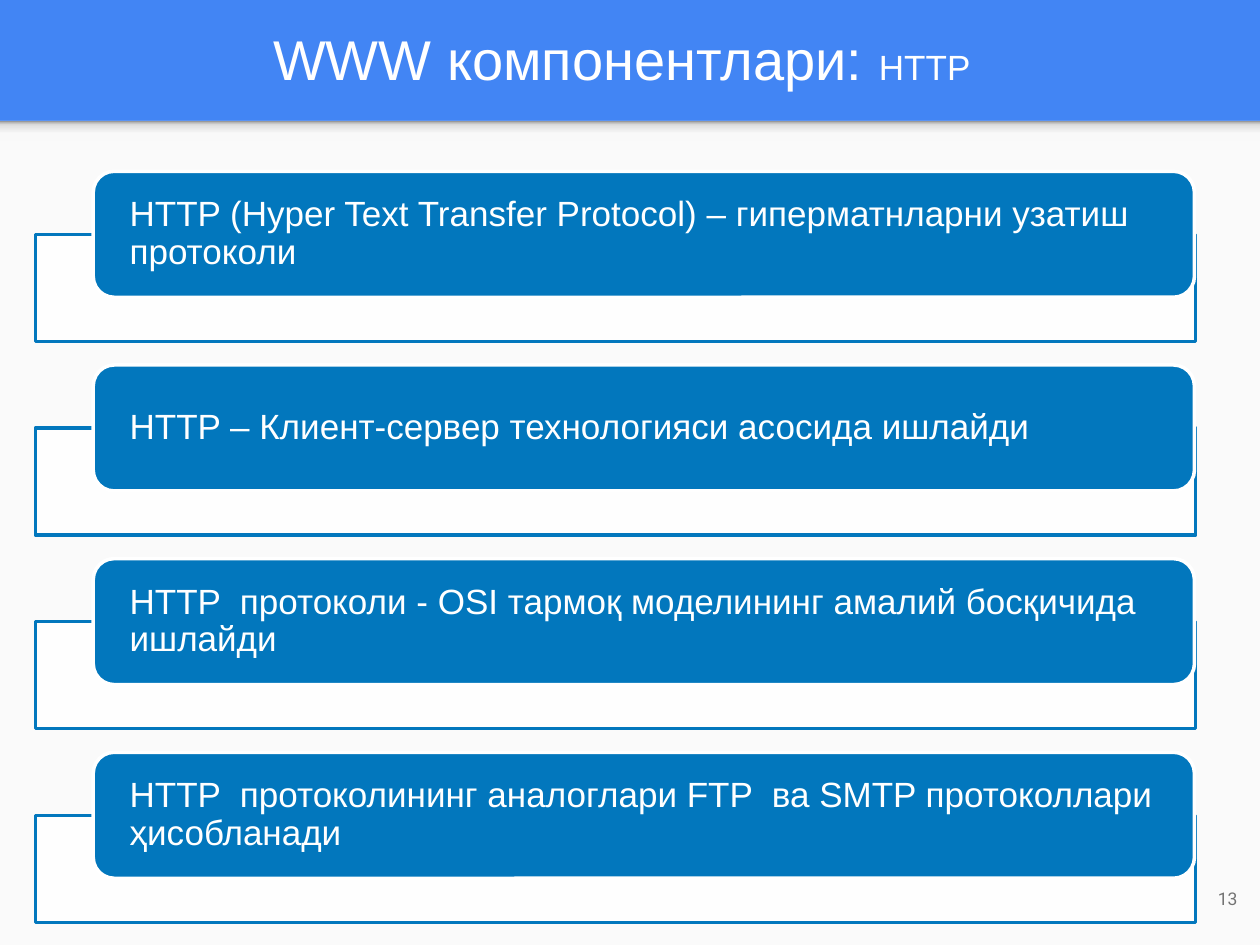
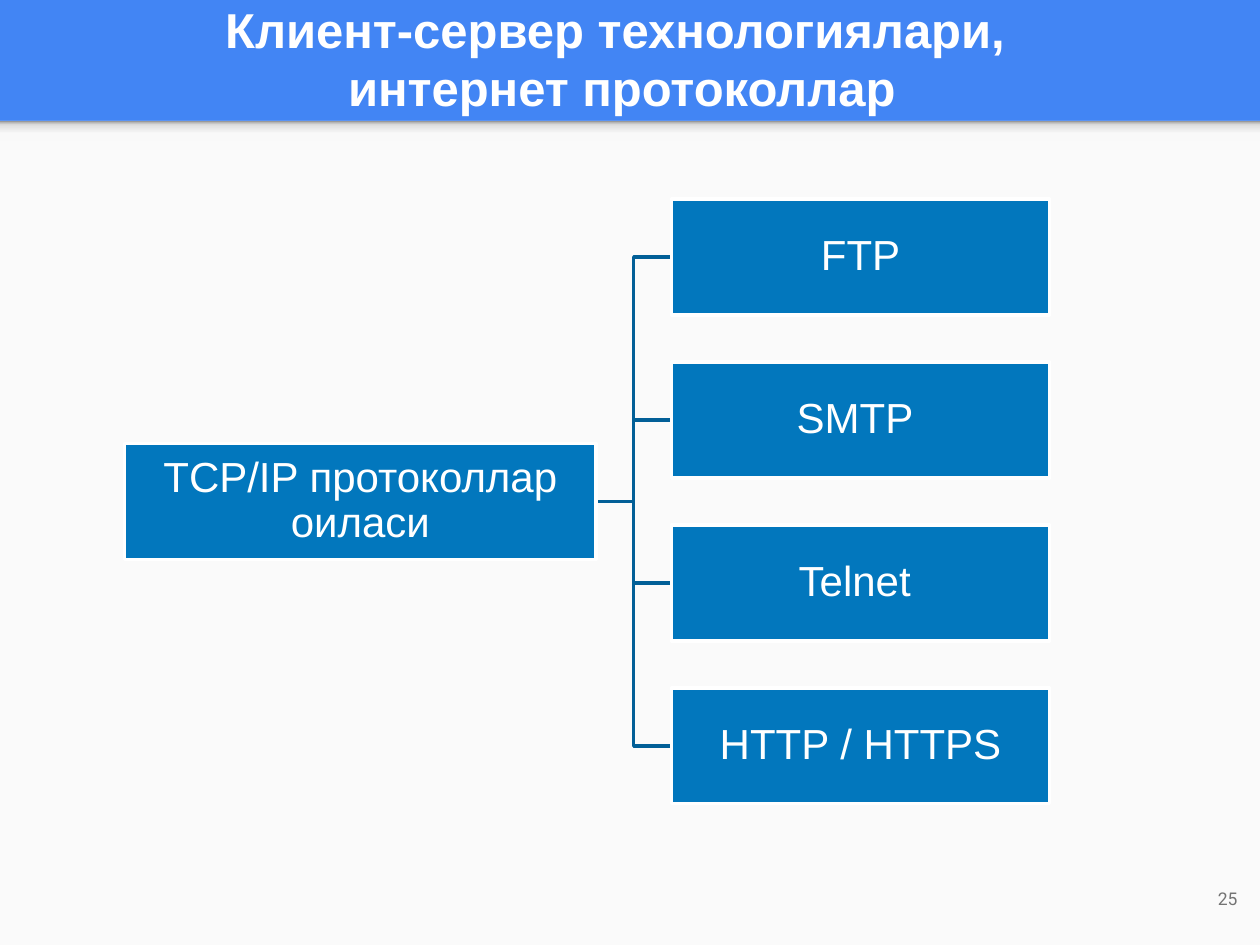
from dataclasses import dataclass

import pptx
import pptx.dml.color
import pptx.enum.shapes
import pptx.enum.text
import pptx.oxml
import pptx.oxml.ns
import pptx.presentation
import pptx.shapes.autoshape
import pptx.shapes.connector
import pptx.slide
import pptx.text.text
import pptx.util
from pptx.dml.color import RGBColor
from pptx.enum.shapes import MSO_SHAPE
from pptx.enum.text import MSO_ANCHOR, PP_ALIGN
from pptx.util import Inches

HEADER_BLUE = RGBColor(0x42, 0x85, 0xF4)
PAGE = RGBColor(0xFA, 0xFA, 0xFA)
WHITE = RGBColor(0xFF, 0xFF, 0xFF)
BOX_BLUE = RGBColor(0x02, 0x77, 0xBD)
BRANCH_BLUE = RGBColor(0x02, 0x5F, 0x97)
NUMBER_GREY = RGBColor(0x73, 0x73, 0x73)
SHADOW_STOPS = ((0, "F9F9F9"), (36, "F9F9F9"), (80, "DEDEDE"), (100, "999999"))

TEXT_FONT = "Arial"
NUMBER_FONT = "Roboto"
HEADER_HEIGHT = 0.96
LINE_WIDTH = 2


@dataclass(frozen=True)
class Box:
    """A rectangle on the slide, in inches."""
    left: float
    top: float
    width: float
    height: float

    @property
    def middle(self) -> float:
        return self.top + self.height / 2

    def lengths(self) -> tuple[pptx.util.Length, ...]:
        return tuple(Inches(v) for v in (self.left, self.top, self.width, self.height))


@dataclass(frozen=True)
class Heading:
    lines: tuple[str, ...]
    size: int
    bold: bool = False
    suffix: str = ""
    suffix_size: int = 20


HTTP_FACTS = (
    "HTTP (Hyper Text Transfer Protocol) – гиперматнларни узатиш протоколи",
    "HTTP – Клиент-сервер технологияси асосида ишлайди",
    "HTTP  протоколи - OSI тармоқ моделининг амалий босқичида ишлайди",
    "HTTP  протоколининг аналоглари FTP  ва SMTP протоколлари ҳисобланади",
)
FACT_TOP, FACT_STEP = 1.36, 1.537
FACT_FRAME_DROP = 0.5

PROTOCOLS = ("FTP", "SMTP ", "Telnet ", "HTTP / HTTPS")
PROTOCOL_TOP, PROTOCOL_STEP = 1.58, 1.293
FAMILY_BOX = Box(0.99, 3.52, 3.74, 0.92)


def set_font(paragraph: pptx.text.text._Paragraph, size: float, color: RGBColor,
             name: str = TEXT_FONT, bold: bool = False) -> None:
    font = paragraph.font
    font.name, font.size, font.bold = name, pptx.util.Pt(size), bold
    font.color.rgb = color


def set_margins(frame: pptx.text.text.TextFrame, across: float, down: float) -> None:
    frame.margin_left = frame.margin_right = Inches(across)
    frame.margin_top = frame.margin_bottom = Inches(down)
    frame.vertical_anchor = MSO_ANCHOR.MIDDLE
    frame.word_wrap = True


def add_box(slide: pptx.slide.Slide, box: Box, fill: RGBColor,
            outline: RGBColor | None = None,
            preset: MSO_SHAPE = MSO_SHAPE.RECTANGLE) -> pptx.shapes.autoshape.Shape:
    shape = slide.shapes.add_shape(preset, *box.lengths())
    shape.shadow.inherit = False
    shape.fill.solid()
    shape.fill.fore_color.rgb = fill
    if outline is None:
        shape.line.fill.background()
    else:
        shape.line.color.rgb = outline
        shape.line.width = pptx.util.Pt(LINE_WIDTH)
    return shape


def add_label(shape: pptx.shapes.autoshape.Shape, text: str, size: float,
              align: PP_ALIGN, across: float, down: float) -> None:
    set_margins(shape.text_frame, across, down)
    paragraph = shape.text_frame.paragraphs[0]
    paragraph.text = text
    paragraph.alignment = align
    paragraph.line_spacing = 0.9
    set_font(paragraph, size, WHITE)


def add_header_shadow(slide: pptx.slide.Slide) -> None:
    shadow = add_box(slide, Box(0, HEADER_HEIGHT, 10, 0.16), PAGE)
    shadow.fill.gradient()
    shadow.fill.gradient_angle = 90
    stops = shadow._element.spPr.find(".//" + pptx.oxml.ns.qn("a:gsLst"))
    for stop in list(stops):
        stops.remove(stop)
    for percent, color in SHADOW_STOPS:
        stops.append(pptx.oxml.parse_xml(
            f'<a:gs {pptx.oxml.ns.nsdecls("a")} pos="{percent * 1000}">'
            f'<a:srgbClr val="{color}"/></a:gs>'))


def set_heading(slide: pptx.slide.Slide, heading: Heading) -> None:
    title = slide.shapes.title
    title.left, title.top, title.width, title.height = Box(0.11, 0.02, 9.65, 0.88).lengths()
    frame = title.text_frame
    frame.auto_size = pptx.enum.text.MSO_AUTO_SIZE.NONE
    set_margins(frame, 0.1, 0.1)
    paragraph = frame.paragraphs[0]
    paragraph.alignment = PP_ALIGN.CENTER
    set_font(paragraph, heading.size, WHITE, bold=heading.bold)
    for index, line in enumerate(heading.lines):
        if index:
            paragraph.add_line_break()
        paragraph.add_run().text = line
    if heading.suffix:
        suffix = paragraph.add_run()
        suffix.text = heading.suffix
        suffix.font.size = pptx.util.Pt(heading.suffix_size)


def add_page_number(slide: pptx.slide.Slide, number: int) -> None:
    frame = slide.shapes.add_textbox(*Box(9.32, 6.85, 0.6, 0.57).lengths()).text_frame
    set_margins(frame, 0.1, 0.1)
    paragraph = frame.paragraphs[0]
    paragraph.text = str(number)
    paragraph.alignment = PP_ALIGN.RIGHT
    set_font(paragraph, 10, NUMBER_GREY, NUMBER_FONT)


def add_page(deck: pptx.presentation.Presentation, heading: Heading) -> pptx.slide.Slide:
    slide = deck.slides.add_slide(deck.slide_layouts.get_by_name("Title Only"))
    add_box(slide, Box(0, HEADER_HEIGHT, 10, 7.5 - HEADER_HEIGHT), PAGE)
    add_header_shadow(slide)
    set_heading(slide, heading)
    return slide


def add_fact(slide: pptx.slide.Slide, text: str, top: float) -> None:
    """Add a rounded statement over its outlined frame."""
    frame = add_box(slide, Box(0.28, top + FACT_FRAME_DROP, 9.21, 0.85), WHITE, BOX_BLUE)
    color = frame._element.spPr.find(
        pptx.oxml.ns.qn("a:solidFill") + "/" + pptx.oxml.ns.qn("a:srgbClr"))
    color.append(pptx.oxml.parse_xml(
        f'<a:alpha {pptx.oxml.ns.nsdecls("a")} val="90000"/>'))
    statement = add_box(slide, Box(0.74, top, 8.74, 1), BOX_BLUE, WHITE,
                        MSO_SHAPE.ROUNDED_RECTANGLE)
    add_label(statement, text, 20, PP_ALIGN.LEFT, 0.24, 0)


def add_branch(slide: pptx.slide.Slide, start: Box,
               end: Box) -> pptx.shapes.connector.Connector:
    branch = slide.shapes.add_connector(
        pptx.enum.shapes.MSO_CONNECTOR.ELBOW,
        Inches(start.left + start.width), Inches(start.middle),
        Inches(end.left), Inches(end.middle))
    branch.line.color.rgb = BRANCH_BLUE
    branch.line.width = pptx.util.Pt(LINE_WIDTH)
    branch._element.spPr.append(pptx.oxml.parse_xml(
        f'<a:effectLst {pptx.oxml.ns.nsdecls("a")}/>'))
    return branch


def add_node(slide: pptx.slide.Slide, box: Box, text: str) -> pptx.shapes.autoshape.Shape:
    node = add_box(slide, box, BOX_BLUE, WHITE)
    add_label(node, text, 24, PP_ALIGN.CENTER, 0.02, 0.02)
    return node


def build_http_slide(deck: pptx.presentation.Presentation) -> None:
    slide = add_page(deck, Heading(("WWW компонентлари: ",), 32, suffix="HTTP"))
    for index, fact in enumerate(HTTP_FACTS):
        add_fact(slide, fact, FACT_TOP + index * FACT_STEP)
    add_page_number(slide, 13)


def build_protocols_slide(deck: pptx.presentation.Presentation) -> None:
    slide = add_page(deck, Heading(
        ("Клиент-сервер технологиялари, ", "интернет протоколлар"), 28, bold=True))
    protocol_boxes = [Box(5.33, PROTOCOL_TOP + index * PROTOCOL_STEP, 3, 0.92)
                      for index in range(len(PROTOCOLS))]
    # Branches come first so that the white outlines cover their ends.
    branches = [add_branch(slide, FAMILY_BOX, box) for box in protocol_boxes]
    family = add_node(slide, FAMILY_BOX, "TCP/IP протоколлар оиласи")
    for branch, box, name in zip(branches, protocol_boxes, PROTOCOLS):
        protocol = add_node(slide, box, name)
        branch.begin_connect(family, 3)
        branch.end_connect(protocol, 1)
    add_page_number(slide, 25)


def main() -> None:
    deck = pptx.Presentation()
    deck.slide_width, deck.slide_height = Inches(10), Inches(7.5)
    background = deck.slide_master.background.fill
    background.solid()
    background.fore_color.rgb = HEADER_BLUE
    build_http_slide(deck)
    build_protocols_slide(deck)
    deck.save("out.pptx")


if __name__ == "__main__":
    main()
